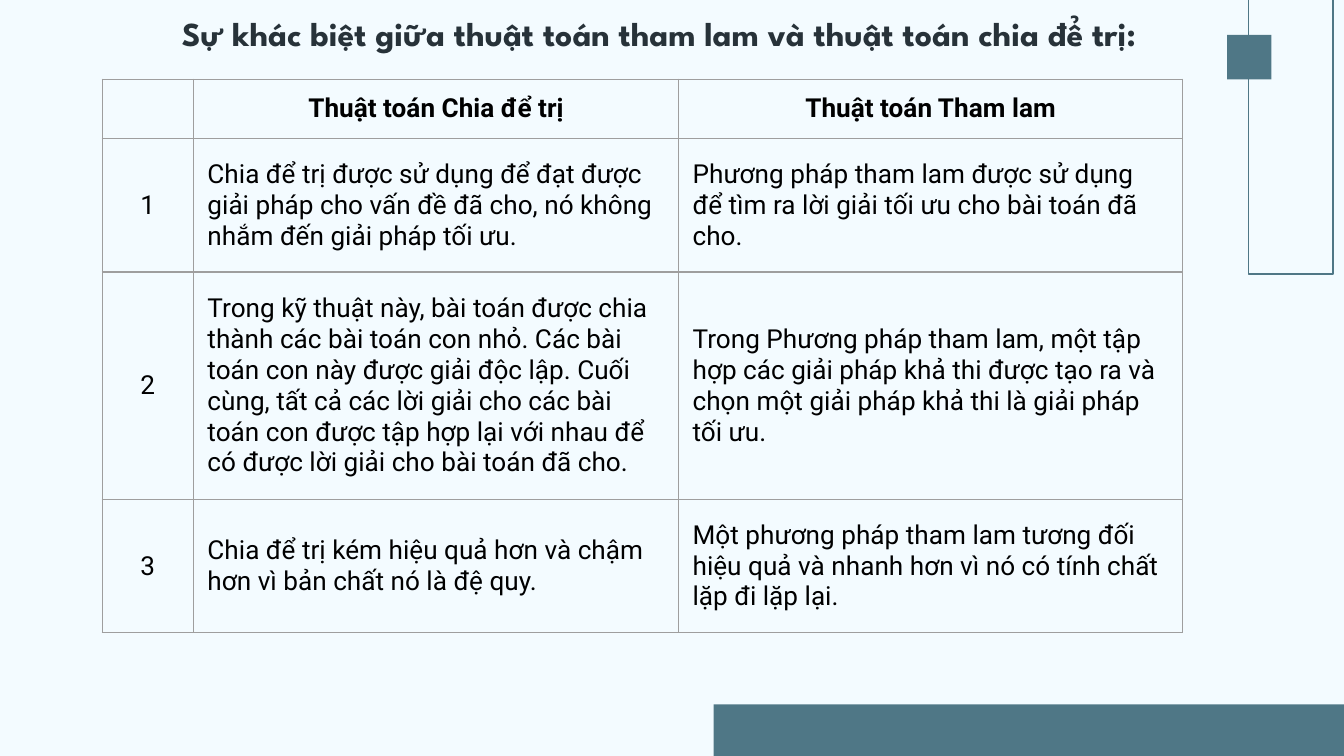
"""Slide that sets divide and conquer beside greedy algorithms."""
from lxml import etree
from pptx import Presentation
from pptx.dml.color import RGBColor
from pptx.enum.shapes import MSO_SHAPE
from pptx.enum.text import MSO_ANCHOR, PP_ALIGN
from pptx.oxml.ns import qn
from pptx.util import Inches, Pt

RECT = MSO_SHAPE.RECTANGLE
TOP, MID = MSO_ANCHOR.TOP, MSO_ANCHOR.MIDDLE
LEFT, CENTER = PP_ALIGN.LEFT, PP_ALIGN.CENTER
PALE = RGBColor(0xF3, 0xFB, 0xFF)
TEAL = RGBColor(0x4F, 0x77, 0x86)
NAVY = RGBColor(0x27, 0x32, 0x39)
BLACK = RGBColor(0, 0, 0)
GRAY = RGBColor(0x9E, 0x9E, 0x9E)

deck = Presentation()
deck.slide_width = Inches(10)
deck.slide_height = deck.slide_width * 9 // 16
COL, ROW = deck.slide_width / 100, deck.slide_height / 100
slide = deck.slides.add_slide(deck.slide_layouts[6])
slide.background.fill.solid()
slide.background.fill.fore_color.rgb = PALE


def place(x, y, wide, high):
    return int(x * COL), int(y * ROW), int(wide * COL), int(high * ROW)


def write(frame, text, align, color, style):
    para = frame.paragraphs[0]
    para.alignment = align
    run = para.add_run()
    run.text = text
    for key, value in style.items():
        setattr(run.font, key, value)
    run.font.color.rgb = color


for spot, angle, solid in [
    ((75.2, 53.87, 4.5, 86.58), 90, True),
    ((91.3, 4.62, 3.3, 5.87), 180, True),
    ((84.97, 11.02, 22.1, 11.2), 90, False),
]:
    block = slide.shapes.add_shape(RECT, *place(*spot))
    block.rotation = angle
    block.shadow.inherit = False
    if solid:
        block.fill.solid()
        block.fill.fore_color.rgb = TEAL
        block.line.fill.background()
    else:
        block.fill.background()
        block.line.color.rgb = TEAL
        block.line.width = Pt(0.75)

title = slide.shapes.add_textbox(*place(6.9, 0, 84.3, 11.2)).text_frame
for key, value in {
    "word_wrap": True, "vertical_anchor": TOP,
    "margin_left": Inches(0.1), "margin_right": Inches(0.1),
    "margin_top": Inches(0.1), "margin_bottom": Inches(0.1),
}.items():
    setattr(title, key, value)
write(title, "Sự khác biệt giữa thuật toán tham lam và thuật toán chia để trị:",
      CENTER, NAVY, {"name": "League Spartan", "size": Pt(18), "bold": True})

ROWS = [
    ("", "Thuật toán Chia để trị", "Thuật toán Tham lam"),
    ("1",
     "Chia để trị được sử dụng để đạt được giải pháp cho vấn đề đã cho, "
     "nó không nhắm đến giải pháp tối ưu.",
     "Phương pháp tham lam được sử dụng để tìm ra lời giải tối ưu "
     "cho bài toán đã cho."),
    ("2",
     "Trong kỹ thuật này, bài toán được chia thành các bài toán con nhỏ. "
     "Các bài toán con này được giải độc lập. Cuối cùng, tất cả các lời giải "
     "cho các bài toán con được tập hợp lại với nhau để có được lời giải "
     "cho bài toán đã cho.",
     "Trong Phương pháp tham lam, một tập hợp các giải pháp khả thi được "
     "tạo ra và chọn một giải pháp khả thi là giải pháp tối ưu."),
    ("3",
     "Chia để trị kém hiệu quả hơn và chậm hơn vì bản chất nó là đệ quy.",
     "Một phương pháp tham lam tương đối hiệu quả và nhanh hơn vì nó có "
     "tính chất lặp đi lặp lại."),
]
WIDE = [6.8, 36.1, 37.5]
HIGH = [7.3, 7.3, 0, 7.3]

holder = slide.shapes.add_table(
    len(ROWS), len(WIDE), *place(7.6, 10.49, sum(WIDE), 73.24))
grid = holder.table
grid.first_row = grid.horz_banding = False
for col, wide in zip(grid.columns, WIDE):
    col.width = int(wide * COL)
for row, high in zip(grid.rows, HIGH):
    row.height = int(high * ROW)
holder.height = int(73.24 * ROW)

for r, texts in enumerate(ROWS):
    for c, text in enumerate(texts):
        pad = Pt(10.5 if r else 7.5 if text else 3.6)
        cell = grid.cell(r, c)
        for key, value in {
            "vertical_anchor": MID, "margin_left": Pt(7.5),
            "margin_right": Pt(7.5), "margin_top": pad,
            "margin_bottom": pad,
        }.items():
            setattr(cell, key, value)
        cell.fill.background()
        props = cell._tc.get_or_add_tcPr()
        for n, side in enumerate(("a:lnL", "a:lnR", "a:lnT", "a:lnB")):
            edge = etree.Element(qn(side), w=str(Pt(0.75)))
            fill = etree.SubElement(edge, qn("a:solidFill"))
            etree.SubElement(fill, qn("a:srgbClr"), val=str(GRAY))
            props.insert(n, edge)
        if text:
            align = LEFT if r and c else CENTER
            write(cell.text_frame, text, align, BLACK,
                  {"name": "Roboto", "size": Pt(14), "bold": r == 0})

deck.save("out.pptx")
